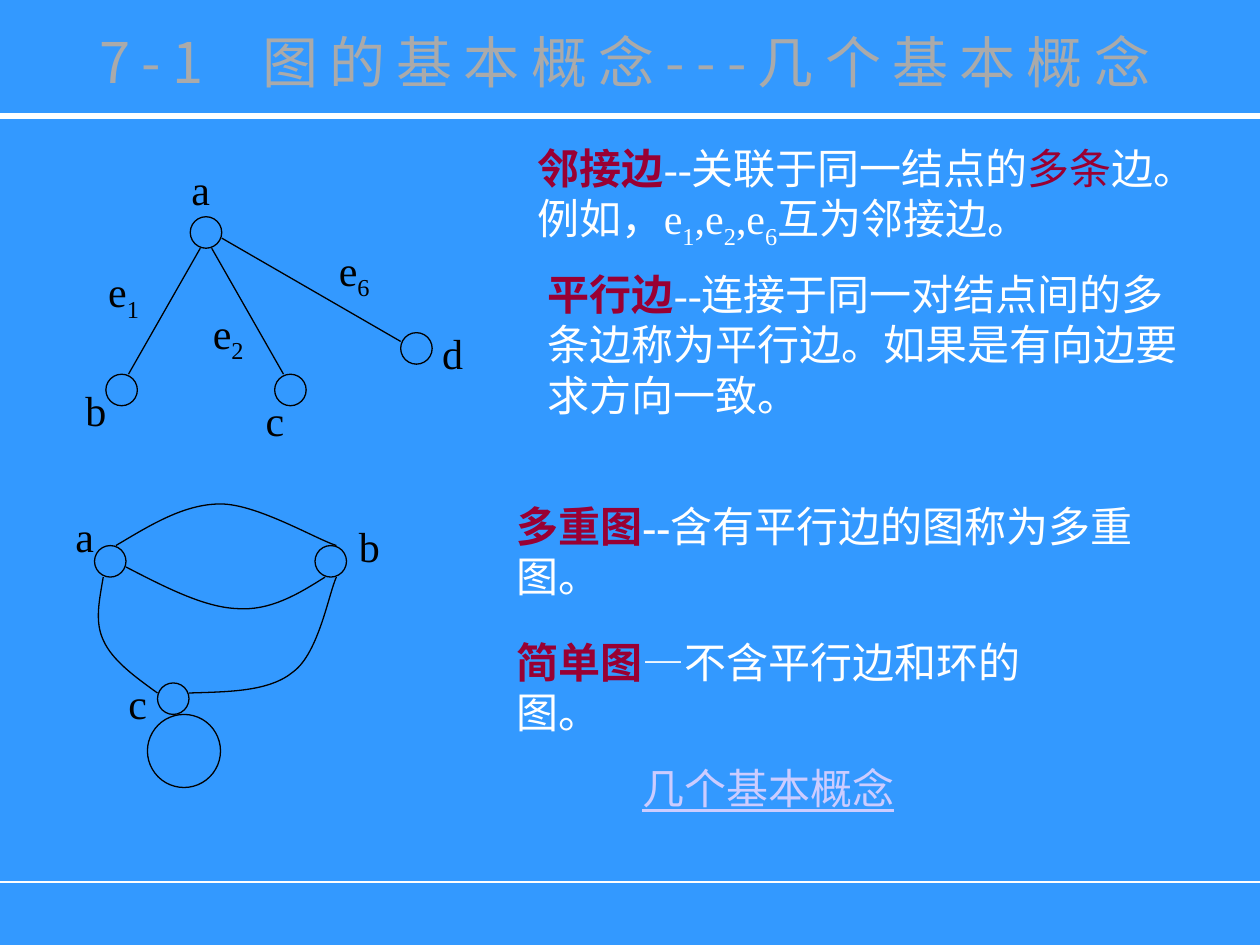
from dataclasses import dataclass

from lxml import etree
from pptx import Presentation
from pptx.dml.color import RGBColor
from pptx.enum.shapes import MSO_CONNECTOR, MSO_SHAPE
from pptx.enum.text import MSO_ANCHOR, MSO_AUTO_SIZE, PP_ALIGN
from pptx.oxml.ns import qn
from pptx.util import Inches, Pt


@dataclass(frozen=True)
class Theme:
    """Colours, fonts and type sizes of the slide."""

    background: RGBColor = RGBColor(0x33, 0x99, 0xFF)
    white: RGBColor = RGBColor(0xFF, 0xFF, 0xFF)
    ink: RGBColor = RGBColor(0x00, 0x00, 0x00)
    term: RGBColor = RGBColor(0x99, 0x00, 0x33)
    link: RGBColor = RGBColor(0xCC, 0xCC, 0xFF)
    title: RGBColor = RGBColor(0xAA, 0xAA, 0xAA)
    latin: str = "Times New Roman"
    chinese: str = "Noto Sans CJK SC"
    title_size: Pt = Pt(32)
    body_size: Pt = Pt(24)
    thin: Pt = Pt(0.75)
    thick: Pt = Pt(3)


THEME = Theme()
NODE_SIZE = 0.25


def add_run(paragraph, text, color=THEME.white, bold=False, underline=False, subscript=False):
    """Append one formatted run of body text."""
    run = paragraph.add_run()
    run.text = text
    font = run.font
    font.size, font.name = THEME.body_size, THEME.latin
    font.bold, font.underline = bold, underline
    font.color.rgb = color
    set_chinese_font(run)
    if subscript:
        font._element.set("baseline", "-25000")


def set_chinese_font(run):
    """Name the font for the Chinese characters of a run."""
    properties = run.font._element
    etree.SubElement(properties, qn("a:ea")).set("typeface", THEME.chinese)


def add_text(shapes, left, top, width, height=0.5):
    """Add a wrapping text box without hanging punctuation and return its paragraph."""
    box = shapes.add_textbox(Inches(left), Inches(top), Inches(width), Inches(height))
    box.text_frame.word_wrap = True
    box.text_frame.auto_size = MSO_AUTO_SIZE.SHAPE_TO_FIT_TEXT
    paragraph = box.text_frame.paragraphs[0]
    paragraph._p.get_or_add_pPr().set("hangingPunct", "0")
    return paragraph


def add_label(shapes, left, top, width, letter, index=""):
    """Label a node or an edge, with an optional subscript."""
    paragraph = add_text(shapes, left, top, width)
    add_run(paragraph, letter, THEME.ink)
    if index:
        add_run(paragraph, index, THEME.ink, subscript=True)


def add_circle(shapes, left, top, size=NODE_SIZE):
    """Draw an unfilled circle."""
    circle = shapes.add_shape(
        MSO_SHAPE.OVAL, Inches(left), Inches(top), Inches(size), Inches(size)
    )
    circle.shadow.inherit = False
    circle.fill.background()
    circle.line.color.rgb = THEME.ink
    circle.line.width = THEME.thin


def add_line(shapes, start, end, color=THEME.ink, width=THEME.thin):
    """Draw a straight line between two points."""
    points = [Inches(value) for value in (*start, *end)]
    line = shapes.add_connector(MSO_CONNECTOR.STRAIGHT, *points)
    line.line.color.rgb = color
    line.line.width = width
    etree.SubElement(line._element.spPr, qn("a:effectLst"))


def add_curve(shapes, start, *points):
    """Draw a Bézier curve; every three points are two controls and an end."""
    builder = shapes.build_freeform(Inches(start[0]), Inches(start[1]))
    builder.add_line_segments([(Inches(x), Inches(y)) for x, y in points], close=False)
    curve = builder.convert_to_shape()
    outline = curve._element.find(".//" + qn("a:path"))
    segments = outline.findall(qn("a:lnTo"))
    for first in range(0, len(segments), 3):
        bezier = etree.SubElement(outline, qn("a:cubicBezTo"))
        for segment in segments[first:first + 3]:
            bezier.append(segment[0])
            outline.remove(segment)
    curve.shadow.inherit = False
    curve.fill.background()
    curve.line.color.rgb = THEME.ink
    curve.line.width = THEME.thin


def add_title(slide, text):
    """Place and format the spaced gradient title on one line."""
    title = slide.shapes.title
    title.left, title.top = Inches(0.21), Inches(0.17)
    title.width, title.height = Inches(9.5), Inches(0.75)
    frame = title.text_frame
    frame.word_wrap = False
    frame.auto_size = MSO_AUTO_SIZE.NONE
    frame.vertical_anchor = MSO_ANCHOR.TOP
    paragraph = frame.paragraphs[0]
    paragraph.alignment = PP_ALIGN.CENTER
    run = paragraph.add_run()
    run.text = text
    run.font.size, run.font.name = THEME.title_size, THEME.chinese
    run.font._element.set("spc", "640")
    run.font.fill.gradient()
    run.font.fill.gradient_angle = 270
    for stop, color in zip(run.font.fill.gradient_stops, (THEME.title, THEME.white)):
        stop.color.rgb = color
    set_chinese_font(run)


def add_definition(shapes, box, term, *runs):
    """Write a bold term followed by its explanation."""
    paragraph = add_text(shapes, *box)
    add_run(paragraph, term, THEME.term, bold=True)
    for text, style in runs:
        add_run(paragraph, text, **style)


def add_definitions(shapes):
    """Write the four definitions and the closing link text."""
    plain, low = {}, {"subscript": True}
    add_definition(
        shapes, (4.17, 1.08, 5.42, 0.9), "邻接边",
        ("--关联于同一结点的", plain), ("多条", {"color": THEME.term}),
        ("边。例如，e", plain), ("1", low), (",e", plain), ("2", low),
        (",e", plain), ("6", low), ("互为邻接边。", plain),
    )
    add_definition(
        shapes, (4.25, 2.08, 5.33, 1.3), "平行边",
        ("--连接于同一对结点间的多条边称为平行边。如果是有向边要求方向一致。", plain),
    )
    add_definition(
        shapes, (4, 3.92, 5.67), "多重图",
        ("--", {"bold": True}), ("含有平行边的图称为多重图。", plain),
    )
    add_definition(shapes, (4, 5, 4.75), "简单图", ("—不含平行边和环的图。", plain))
    add_run(add_text(shapes, 5, 6, 2.33), "几个基本概念", THEME.link, underline=True)


def add_adjacent_graph(shapes):
    """Draw the graph whose three edges meet at node a."""
    for left, top in ((1.51, 1.72), (0.84, 2.97), (2.18, 2.97), (3.18, 2.64)):
        add_circle(shapes, left, top)
    add_line(shapes, (1.59, 1.97), (1.02, 2.97))
    add_line(shapes, (1.68, 1.97), (2.25, 2.97))
    add_line(shapes, (1.76, 1.89), (3.18, 2.71))
    for left, top, *name in (
        (0.76, 2.06, "e", "1"), (1.59, 2.39, "e", "2"), (2.59, 1.89, "e", "6"),
        (1.42, 1.25, "a"), (0.58, 3, "b"), (2.01, 3.08, "c"), (3.41, 2.55, "d"),
    ):
        add_label(shapes, left, top, 0.75, *name)


def add_multigraph(shapes):
    """Draw the graph with parallel edges and a loop."""
    for left, top in ((0.75, 4.33), (1.25, 5.42), (2.5, 4.33)):
        add_circle(shapes, left, top)
    add_circle(shapes, 1.17, 5.67, 0.58)
    add_curve(shapes, (1, 4.5), (1.31, 4.66), (1.62, 4.82), (1.88, 4.83),
              (2.14, 4.85), (2.36, 4.72), (2.58, 4.58))
    add_curve(shapes, (0.82, 4.58), (0.79, 4.76), (0.75, 4.93), (0.82, 5.08),
              (0.89, 5.24), (1.07, 5.37), (1.25, 5.5))
    add_curve(shapes, (1.5, 5.5), (1.82, 5.49), (2.14, 5.49), (2.33, 5.33),
              (2.53, 5.18), (2.61, 4.71), (2.67, 4.58))
    add_curve(shapes, (0.92, 4.33), (1.19, 4.17), (1.46, 4), (1.75, 4),
              (2.04, 4), (2.51, 4.28), (2.67, 4.33))
    for left, top, name in ((0.5, 4, "a"), (2.75, 4.08, "b"), (0.92, 5.33, "c")):
        add_label(shapes, left, top, 0.33, name)


def main():
    """Build and save the slide."""
    presentation = Presentation()
    presentation.slide_width, presentation.slide_height = Inches(10), Inches(7.5)
    slide = presentation.slides.add_slide(presentation.slide_layouts[5])
    slide.background.fill.solid()
    slide.background.fill.fore_color.rgb = THEME.background
    shapes = slide.shapes
    add_line(shapes, (0, 0.92), (10, 0.92), THEME.white, THEME.thick)
    add_line(shapes, (0, 7), (10, 7), THEME.white)
    add_title(slide, "7-1  图的基本概念---几个基本概念")
    add_definitions(shapes)
    add_adjacent_graph(shapes.add_group_shape().shapes)
    add_multigraph(shapes)
    presentation.save("out.pptx")


if __name__ == "__main__":
    main()
